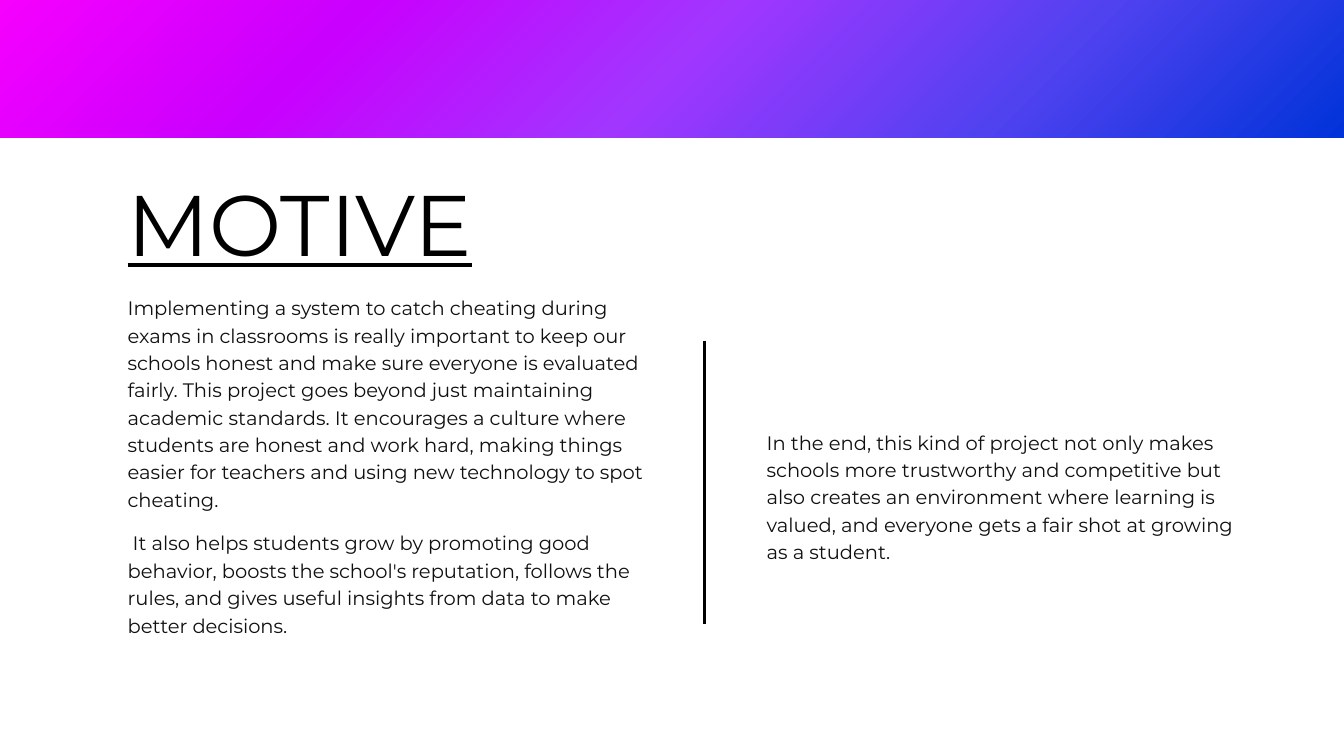
"""Build the motive slide: a gradient band, a title and two text columns."""
from lxml import etree
from pptx import Presentation
from pptx import util as u
from pptx.dml import color
from pptx.enum import shapes, text
from pptx.oxml import ns

WIDTH, HEIGHT = 1440, 810
LEFT, COLUMN = 136.8, 566.64
BAND_HEIGHT = 147.6
BAND_STOPS = ["F600FE", "C900FE", "A136FF", "5142F0", "0033D9"]
TITLE = dict(size=u.Pt(92), underline=True)
BODY = dict(size=u.Pt(20.9))
PARAGRAPHS = [
    (LEFT, 313.2, COLUMN, 230.4,
     "Implementing a system to catch cheating during exams in classrooms is "
     "really important to keep our schools honest and make sure everyone is "
     "evaluated fairly. This project goes beyond just maintaining academic "
     "standards. It encourages a culture where students are honest and work "
     "hard, making things easier for teachers and using new technology to "
     "spot cheating."),
    (821.52, 457.2, 506.88, 143.28,
     "In the end, this kind of project not only makes schools more "
     "trustworthy and competitive but also creates an environment where "
     "learning is valued, and everyone gets a fair shot at growing as a "
     "student."),
    (LEFT, 565.2, COLUMN, 114.48,
     " It also helps students grow by promoting good behavior, boosts the "
     "school's reputation, follows the rules, and gives useful insights from "
     "data to make better decisions."),
]


def rgb(value):
    return color.RGBColor.from_string(value)


def assign(target, values):
    for name, value in values.items():
        setattr(target, name, value)


class SlideBuilder:
    def __init__(self, page, font):
        self.page = page
        self.font = font

    def fill_text(self, box, place, words, style, ink, spacing):
        names = ("left", "top", "width", "height")
        assign(box, dict(zip(names, map(u.Pt, place))))
        frame = box.text_frame
        assign(frame, dict(
            word_wrap=True, auto_size=text.MSO_AUTO_SIZE.SHAPE_TO_FIT_TEXT,
            vertical_anchor=text.MSO_ANCHOR.TOP, margin_left=0, margin_top=0,
            margin_right=0, margin_bottom=0))
        para = frame.paragraphs[0]
        assign(para, dict(alignment=text.PP_ALIGN.LEFT, space_before=u.Pt(0),
                          line_spacing=u.Pt(spacing)))
        span = para.add_run()
        span.text = words
        assign(span.font, dict(name=self.font, **style))
        span.font.color.rgb = rgb(ink)

    def title(self, place, words):
        box = self.page.shapes.title
        self.fill_text(box, place, words, TITLE, "000000", 128.8)

    def body(self, place, words):
        box = self.page.shapes.add_textbox(*map(u.Pt, place))
        self.fill_text(box, place, words, BODY, "101010", 29.3)

    def band(self, place, stops):
        band = self.page.shapes.add_shape(
            shapes.MSO_SHAPE.RECTANGLE, *map(u.Pt, place))
        band.shadow.inherit = False
        band.line.fill.background()
        band.fill.gradient()
        gradient = band._element.spPr.find(ns.qn("a:gradFill"))
        for child in list(gradient):
            gradient.remove(child)
        colors = etree.SubElement(gradient, ns.qn("a:gsLst"))
        for index, value in enumerate(stops):
            position = index * 100000 // (len(stops) - 1)
            stop = etree.SubElement(colors, ns.qn("a:gs"), pos=str(position))
            etree.SubElement(stop, ns.qn("a:srgbClr"), val=value)
        circle = etree.SubElement(gradient, ns.qn("a:path"), path="circle")
        etree.SubElement(circle, ns.qn("a:fillToRect"), r="100000", b="100000")

    def divider(self, x, top, bottom):
        line = self.page.shapes.add_connector(
            shapes.MSO_CONNECTOR.STRAIGHT, *map(u.Pt, (x, top, x, bottom)))
        line.line.width = u.Pt(3)
        line.line.color.rgb = rgb("000000")
        etree.SubElement(line._element.spPr, ns.qn("a:effectLst"))


def main():
    deck = Presentation()
    assign(deck, dict(slide_width=u.Pt(WIDTH), slide_height=u.Pt(HEIGHT)))
    page = deck.slides.add_slide(deck.slide_layouts[5])
    builder = SlideBuilder(page, "Montserrat")
    builder.title((LEFT, 164.16, 660.96, 122.4), "MOTIVE")
    for *place, words in PARAGRAPHS:
        builder.body(place, words)
    builder.band((0, 0, WIDTH, BAND_HEIGHT), BAND_STOPS)
    builder.divider(754.56, 365.04, 668.16)
    deck.save("out.pptx")


if __name__ == "__main__":
    main()
